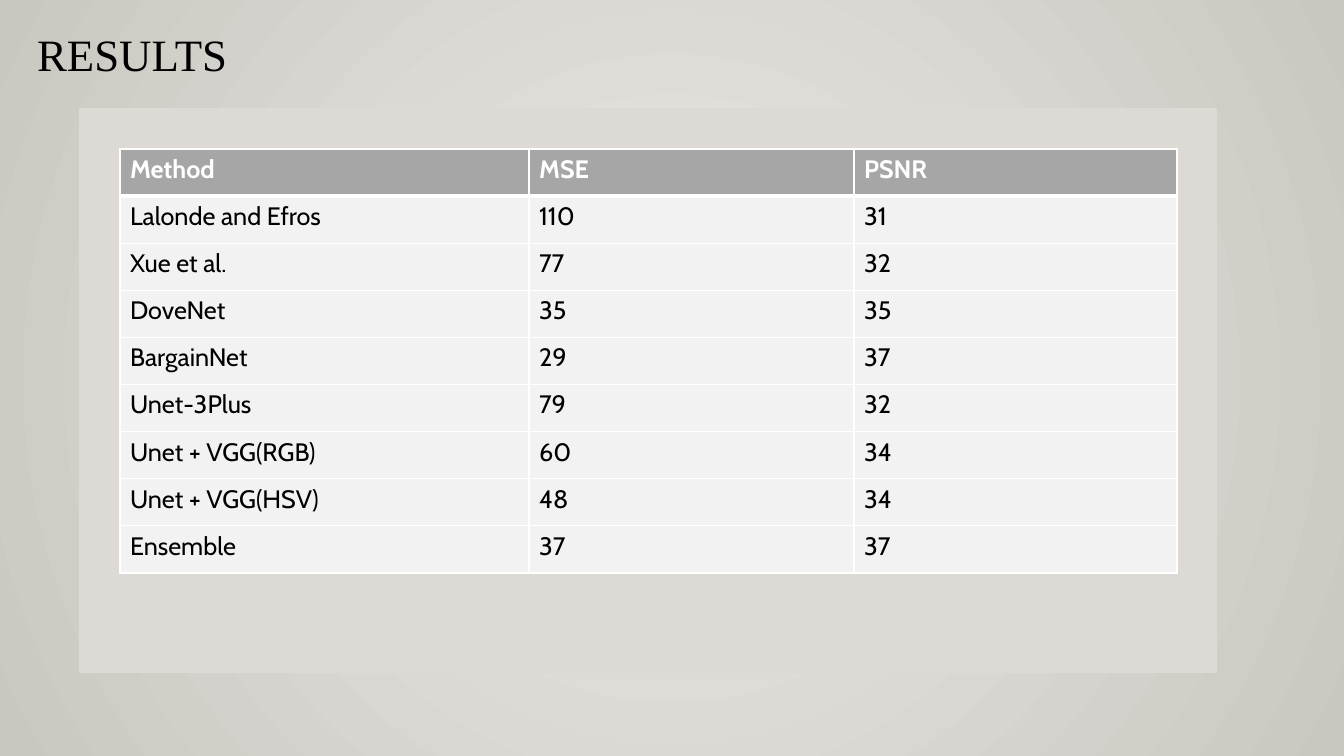
from dataclasses import dataclass
from pptx import Presentation
from pptx.dml.color import RGBColor as RGB
from pptx.enum.shapes import MSO_SHAPE as SHAPE
from pptx.enum.text import MSO_ANCHOR as ANCHOR, MSO_AUTO_SIZE as AUTO, PP_ALIGN as ALIGN
from pptx.oxml import parse_xml as to_xml
from pptx.oxml.ns import nsdecls, qn
from pptx.util import Emu, Pt


@dataclass(frozen=True)
class Theme:
    inner: str = "ECEAE7"
    outer: str = "CAC7C1"
    panel: str = "DDDAD6"
    head: str = "A6A6A6"
    body: str = "F2F2F2"
    white: str = "FFFFFF"
    black: str = "000000"
    serif: str = "Times New Roman"
    sans: str = "Cabin"
    title: int = 32
    cell: int = 18
    thin: int = 1
    thick: int = 3


THEME = Theme()
WIDE, HIGH = 1344, 756
COLS = (409, 325, 323)
ROWS = (
    ("Method", "MSE", "PSNR"),
    ("Lalonde and Efros", "110", "31"),
    ("Xue et al.", "77", "32"),
    ("DoveNet", "35", "35"),
    ("BargainNet", "29", "37"),
    ("Unet-3Plus", "79", "32"),
    ("Unet + VGG(RGB)", "60", "34"),
    ("Unet + VGG(HSV)", "48", "34"),
    ("Ensemble", "37", "37"),
)


def px(n):
    return Emu(round(n * 914400 / 100.8))


def add_run(para, text, font, size, color, bold=False):
    run = para.add_run()
    run.text = text
    run.font.name = font
    run.font.size = Pt(size)
    run.font.bold = bold
    run.font.color.rgb = RGB.from_string(color)


def add_glow(fill, root):
    fill.gradient()
    for stop, color in zip(fill.gradient_stops, (THEME.inner, THEME.outer)):
        stop.color.rgb = RGB.from_string(color)
    for lin in list(root.iter(qn("a:lin"))):
        lin.getparent().replace(lin, to_xml(
            f'<a:path {nsdecls("a")} path="circle">'
            '<a:fillToRect l="50000" t="50000" r="50000" b="50000"/></a:path>'))


def add_rect(slide, left, top, width, height):
    rect = slide.shapes.add_shape(
        SHAPE.RECTANGLE, px(left), px(top), px(width), px(height))
    rect.shadow.inherit = False
    return rect


def add_back(slide):
    add_glow(slide.background.fill, slide.element)
    back = add_rect(slide, 0, 0, WIDE, HIGH)
    back.line.fill.background()
    add_glow(back.fill, back.element)
    return back


def add_title(slide, back, text):
    title = slide.shapes.title
    back.element.addnext(title.element)
    title.left, title.top, title.width, title.height = map(px, (27, 11, 1045, 92))
    frame = title.text_frame
    frame.word_wrap = True
    frame.auto_size = AUTO.NONE
    frame.vertical_anchor = ANCHOR.MIDDLE
    para = frame.paragraphs[0]
    para.alignment = ALIGN.LEFT
    para.line_spacing = 0.9
    add_run(para, text, THEME.serif, THEME.title, THEME.black)


def add_panel(slide):
    panel = add_rect(slide, 80, 109, 1136, 563)
    color = RGB.from_string(THEME.panel)
    panel.fill.solid()
    panel.fill.fore_color.rgb = color
    panel.line.color.rgb = color
    panel.line.width = Pt(1.25)


def set_edges(cell, top, base):
    props = cell._tc.get_or_add_tcPr()
    for side, width in zip("LRTB", (THEME.thin, THEME.thin, top, base)):
        props.append(to_xml(
            f'<a:ln{side} {nsdecls("a")} w="{Pt(width)}"><a:solidFill>'
            f'<a:srgbClr val="{THEME.white}"/></a:solidFill></a:ln{side}>'))


def set_cell(cell, text, row):
    head = row == 0
    set_edges(cell, THEME.thick if row == 1 else THEME.thin,
              THEME.thick if head else THEME.thin)
    cell.fill.solid()
    cell.fill.fore_color.rgb = RGB.from_string(THEME.head if head else THEME.body)
    add_run(cell.text_frame.paragraphs[0], text, THEME.sans, THEME.cell,
            THEME.white if head else THEME.black, head)


def add_grid(slide):
    grid = slide.shapes.add_table(
        len(ROWS), len(COLS), px(120), px(149), px(sum(COLS)), px(424)).table
    grid.horz_banding = False
    for col, width in zip(grid.columns, COLS):
        col.width = px(width)
    for r, row in enumerate(ROWS):
        for c, text in enumerate(row):
            set_cell(grid.cell(r, c), text, r)


def main():
    deck = Presentation()
    deck.slide_width, deck.slide_height = px(WIDE), px(HIGH)
    slide = deck.slides.add_slide(deck.slide_layouts[5])
    back = add_back(slide)
    add_title(slide, back, "RESULTS")
    add_panel(slide)
    add_grid(slide)
    deck.save("out.pptx")


if __name__ == "__main__":
    main()
